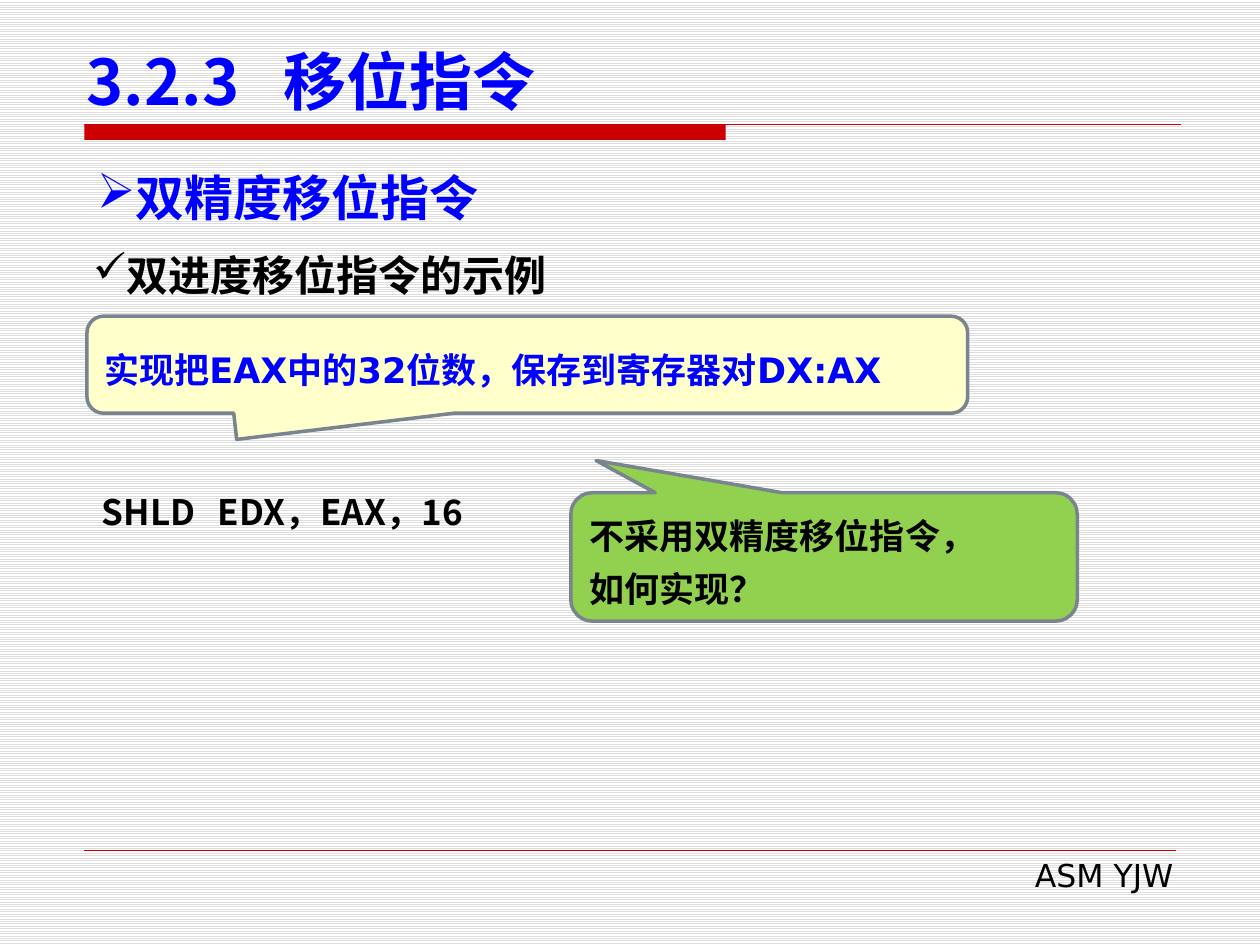
from lxml.etree import SubElement
from pptx import Presentation
from pptx.dml.color import RGBColor
from pptx.enum.dml import MSO_PATTERN
from pptx.enum.shapes import MSO_CONNECTOR, MSO_SHAPE
from pptx.enum.text import MSO_ANCHOR as ANCHOR, PP_ALIGN as ALIGN
from pptx.oxml.ns import qn
from pptx.util import Inches, Pt

COLS, ROWS = 100, 75
BLUE, BLACK, RED, GREY = "0000FF", "000000", "CC0000", "79848F"
SANS, CJK, SERIF = "DejaVu Sans", "Noto Sans CJK SC", "Times New Roman"


def rgb(value):
    return RGBColor.from_string(value)


def write(tf, text, size=20, color=BLACK, font=SANS, bold=True, align=None,
          leading=None, bullet=None, tab=None, anchor=ANCHOR.MIDDLE):
    tf.word_wrap = True
    tf.vertical_anchor = anchor
    for i, line in enumerate(text.split("\n")):
        p = tf.paragraphs[0] if i == 0 else tf.add_paragraph()
        p.alignment = align or ALIGN.LEFT
        if leading:
            p.line_spacing = Pt(leading)
        r = p.add_run()
        r.text = line
        r.font.size, r.font.bold, r.font.name = Pt(size), bold, font
        r.font.color.rgb = rgb(color)
        SubElement(r.font._element, qn("a:ea"), typeface=CJK)
        props = p._p.get_or_add_pPr()
        if bullet:
            SubElement(props, qn("a:buChar"), char=bullet)
        if tab:
            tabs = SubElement(props, qn("a:tabLst"))
            SubElement(tabs, qn("a:tab"), pos=str(Inches(tab)), algn="l")


class Deck:
    def __init__(self):
        self.prs = Presentation()
        self.prs.slide_width, self.prs.slide_height = Inches(10), Inches(7.5)
        self.col = self.prs.slide_width / COLS
        self.row = self.prs.slide_height / ROWS
        self.s = self.prs.slides.add_slide(self.prs.slide_layouts[6])

    def at(self, x, y, w, h):
        return [int(x * self.col), int(y * self.row),
                int(w * self.col), int(h * self.row)]

    def background(self, fore, back):
        fill = self.s.background.fill
        fill.patterned()
        fill.pattern = MSO_PATTERN.LIGHT_HORIZONTAL
        fill.fore_color.rgb, fill.back_color.rgb = rgb(fore), rgb(back)

    def shape(self, kind, box, fill):
        sp = self.s.shapes.add_shape(kind, *self.at(*box))
        sp.shadow.inherit = False
        sp.fill.solid()
        sp.fill.fore_color.rgb = rgb(fill)
        return sp

    def bar(self, box, fill):
        self.shape(MSO_SHAPE.RECTANGLE, box, fill).line.fill.background()

    def rule(self, x, y, w, color, width):
        left, top, length, _ = self.at(x, y, w, 0)
        line = self.s.shapes.add_connector(
            MSO_CONNECTOR.STRAIGHT, left, top, left + length, top)
        line.line.color.rgb, line.line.width = rgb(color), Pt(width)
        SubElement(line._element.spPr, qn("a:effectLst"))

    def text(self, box, text, **style):
        write(self.s.shapes.add_textbox(*self.at(*box)).text_frame, text, **style)

    def callout(self, box, tip, fill, text, **style):
        sp = self.shape(MSO_SHAPE.ROUNDED_RECTANGULAR_CALLOUT, box, fill)
        for i, value in enumerate((*tip, 0.17)):
            sp.adjustments[i] = value
        sp.line.color.rgb, sp.line.width = rgb(GREY), Pt(2)
        write(sp.text_frame, text, leading=30, **style)


def main():
    deck = Deck()
    deck.background("DDDDDD", "FFFFFF")
    deck.bar((6.7, 9.9, 50.9, 1.2), RED)
    deck.rule(6.7, 9.9, 87, RED, 0.75)
    deck.rule(6.7, 67.5, 86.6, RED, 0.25)
    deck.text((38.2, 67.4, 55.9, 4), "ASM YJW", size=18, bold=False,
              align=ALIGN.RIGHT)
    deck.text((5.9, 2.8, 90.6, 7.1), "3.2.3\t移位指令", size=36, color=BLUE,
              font=CJK, tab=1.56)
    deck.text((6.7, 12.8, 86.6, 5.7), "双精度移位指令", size=28, color=BLUE,
              align=ALIGN.JUSTIFY, bullet="➢")
    deck.text((6.4, 19.3, 73.3, 5), "双进度移位指令的示例", size=24, font=SERIF,
              bullet="✓")
    deck.text((7.1, 37.6, 89.5, 4.6), "SHLD\tEDX，EAX，16", font=CJK,
              leading=30, tab=0.92, anchor=ANCHOR.TOP)
    deck.callout((6.9, 25.1, 69.9, 7.7), (-0.33, 0.77), "FFFFCC",
                 "实现把EAX中的32位数，保存到寄存器对DX:AX", color=BLUE)
    deck.callout((45.3, 39.1, 40.2, 10.2), (-0.45, -0.75), "92D050",
                 "不采用双精度移位指令，\n如何实现？")
    deck.prs.save("out.pptx")


if __name__ == "__main__":
    main()
